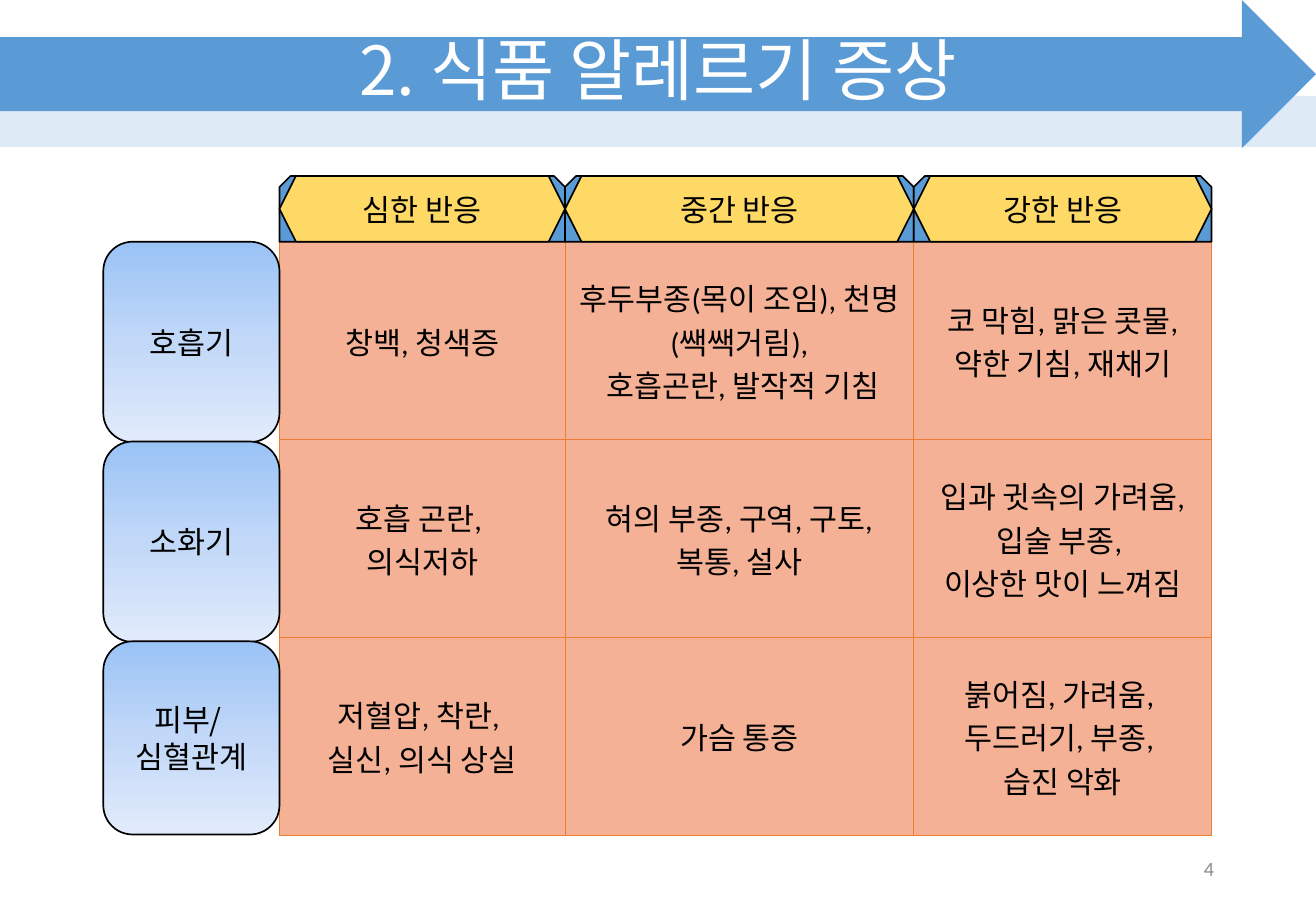
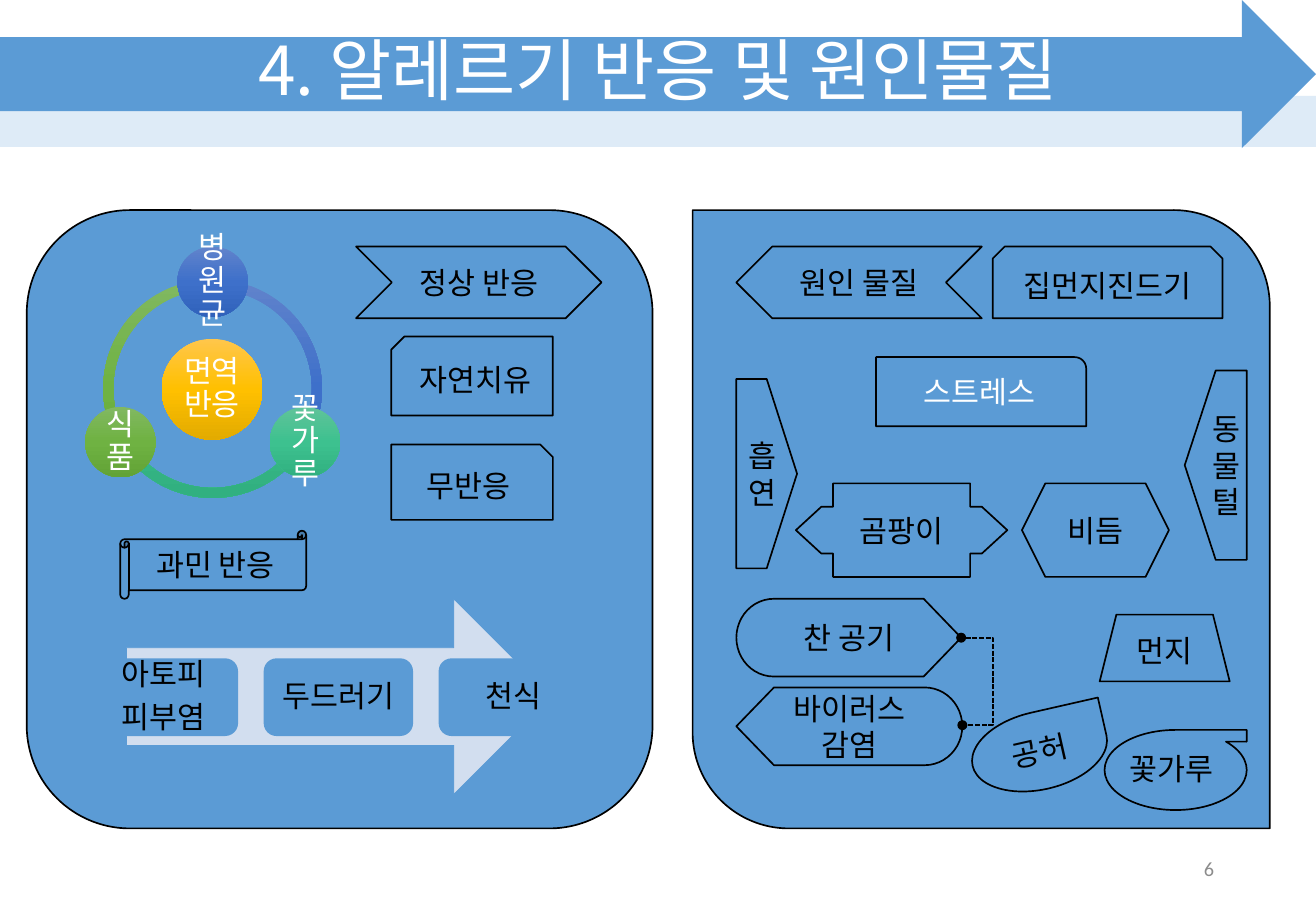
"""Build two slides on food allergy symptoms, reactions and triggers."""
from copy import deepcopy
from dataclasses import dataclass

from lxml.etree import SubElement as Sub
from pptx import Presentation
from pptx.dml.color import RGBColor as Rgb
from pptx.enum.dml import MSO_LINE as Dash
from pptx.enum.shapes import MSO_CONNECTOR as Link, MSO_SHAPE as Kind
from pptx.enum.text import MSO_ANCHOR as Anchor, MSO_AUTO_SIZE as Fit, PP_ALIGN as Align
from pptx.oxml.ns import qn
from pptx.util import Inches, Pt


@dataclass(frozen=True)
class Theme:
    wide: float = 10.83
    high: float = 7.5
    blue: str = "5B9BD5"
    pale: str = "DEEBF7"
    arrow: str = "D2DEEF"
    gold: str = "FFD966"
    peach: str = "F5B195"
    edge: str = "ED7D31"
    black: str = "000000"
    white: str = "FFFFFF"
    gray: str = "8C8C8C"
    sky: tuple = ("9AC3F5", "C2D8F8", "E1EBFB")
    green: tuple = ("81B861", "6FB242", "62A336")
    teal: tuple = ("60C39A", "3DC18F", "31B080")
    navy: tuple = ("6183CB", "3E70CA", "3062BB")
    amber: tuple = ("FFC64B", "FFC000", "E3AB00")
    hangul: str = "Noto Sans CJK KR"
    latin: str = "Calibri"
    head: float = 40
    body: float = 18
    foot: float = 12
    tight: float = 0.9


T = Theme()


@dataclass(frozen=True)
class Style:
    size: float = T.body
    ink: str = T.black
    font: str = T.hangul
    lead: float = 1
    after: float = 0
    align: Align = Align.CENTER
    inset: float | None = None


PLAIN = Style()
LIGHT = Style(ink=T.white)
NODE = Style(ink=T.white, lead=T.tight, after=6.3, inset=0.03)
STEP = Style(lead=T.tight, after=6.3, inset=0.07)
CELL = Style(font=T.latin)
TITLE = Style(size=T.head, ink=T.white, lead=T.tight)
FOOT = Style(size=T.foot, ink=T.gray, font=T.latin, align=Align.RIGHT)


@dataclass(frozen=True)
class Item:
    kind: Kind
    x: float
    y: float
    w: float
    h: float
    text: str = ""
    fill: str | tuple = T.blue
    line: str | None = T.black
    weight: float = 1
    style: Style = PLAIN
    flip: str = ""
    adj: tuple = ()
    turn: float = 0


def write(frame, text: str, style: Style, anchor: Anchor = Anchor.MIDDLE) -> None:
    frame.word_wrap = True
    frame.auto_size = Fit.NONE
    frame.vertical_anchor = anchor
    if style.inset is not None:
        frame.margin_left = frame.margin_right = Inches(style.inset)
        frame.margin_top = frame.margin_bottom = Inches(style.inset)
    for i, line in enumerate(text.split("\n")):
        para = frame.add_paragraph() if i else frame.paragraphs[0]
        para.alignment = style.align
        para.line_spacing = float(style.lead)
        para.space_before, para.space_after = Pt(0), Pt(style.after)
        run = para.add_run()
        run.text = line
        font = run.font
        font.size, font.name = Pt(style.size), style.font
        font.color.rgb = Rgb.from_string(style.ink)
        Sub(font._element, qn("a:ea"), typeface=T.hangul)


def place(x: float, y: float, w: float, h: float) -> tuple:
    return Inches(x), Inches(y), Inches(w), Inches(h)


def blend(shape, tones: tuple) -> None:
    shape.fill.gradient()
    shape.fill.gradient_angle = 270
    stops = next(shape.element.iter(qn("a:gsLst")))
    stops.append(deepcopy(stops[0]))
    for i, stop in enumerate(shape.fill.gradient_stops):
        stop.color.rgb = Rgb.from_string(tones[i])
        stop.position = i / 2


def draw(shapes, item: Item):
    shape = shapes.add_shape(item.kind, *place(item.x, item.y, item.w, item.h))
    shape.shadow.inherit = False
    shape.rotation = item.turn
    for i, val in enumerate(item.adj):
        shape.adjustments[i] = val
    if isinstance(item.fill, tuple):
        blend(shape, item.fill)
    else:
        shape.fill.solid()
        shape.fill.fore_color.rgb = Rgb.from_string(item.fill)
    if item.line:
        shape.line.color.rgb = Rgb.from_string(item.line)
        shape.line.width = Pt(item.weight)
    else:
        shape.line.fill.background()
    if item.flip:
        shape.element.spPr.find(qn("a:xfrm")).set("flip" + item.flip, "1")
    if item.text:
        write(shape.text_frame, item.text, item.style)
    return shape


def label(shapes, spot: tuple, text: str, style: Style, anchor: Anchor = Anchor.MIDDLE) -> None:
    write(shapes.add_textbox(*place(*spot)).text_frame, text, style, anchor)


def band(slide) -> None:
    tree = slide.slide_layout.shapes._spTree
    bars = (Item(Kind.RECTANGLE, 0, 0.79, T.wide, 0.42, fill=T.pale, line=None),
            Item(Kind.RIGHT_ARROW, 0, 0, T.wide, 1.22, line=None))
    for i, bar in enumerate(bars):
        tree.insert(2 + i, draw(slide.shapes, bar).element)


def start(deck, title: str, page: str):
    slide = deck.slides.add_slide(deck.slide_layouts[5])
    head = slide.shapes.title
    head.left, head.top, head.width, head.height = place(0, 0, T.wide, 1.22)
    write(head.text_frame, title, TITLE)
    label(slide.shapes, (7.65, 6.95, 2.44, 0.4), page, FOOT)
    return slide


def border(cell) -> None:
    props = cell._tc.get_or_add_tcPr()
    for i, side in enumerate(("lnL", "lnR", "lnT", "lnB")):
        line = props.makeelement(qn("a:" + side), {"w": str(Pt(0.5))})
        Sub(Sub(line, qn("a:solidFill")), qn("a:srgbClr"), val=T.edge)
        props.insert(i, line)


def grid(shapes, left: float, top: float, cols: tuple, row: float, data: tuple) -> None:
    spot = place(left, top, sum(cols), row * len(data))
    table = shapes.add_table(len(data), len(cols), *spot).table
    table.first_row = table.horz_banding = False
    for i, wide in enumerate(cols):
        table.columns[i].width = Inches(wide)
    for r, texts in enumerate(data):
        table.rows[r].height = Inches(row)
        for c, text in enumerate(texts):
            cell = table.cell(r, c)
            cell.fill.solid()
            cell.fill.fore_color.rgb = Rgb.from_string(T.peach)
            write(cell.text_frame, text, CELL)
            cell.vertical_anchor = Anchor.MIDDLE
            border(cell)


def signs(deck) -> None:
    slide = start(deck, "2. 식품 알레르기 증상", "4")
    band(slide)
    shapes = slide.shapes
    left, top, cols = 2.3, 1.99, (2.35, 2.87, 2.45)
    grid(shapes, left, top, cols, 1.63, (
        ("창백, 청색증",
         "후두부종(목이 조임), 천명(쌕쌕거림),\n 호흡곤란, 발작적 기침",
         "코 막힘, 맑은 콧물, 약한 기침, 재채기"),
        ("호흡 곤란, \n의식저하",
         "혀의 부종, 구역, 구토, 복통, 설사",
         "입과 귓속의 가려움, 입술 부종, \n이상한 맛이 느껴짐"),
        ("저혈압, 착란, \n실신, 의식 상실",
         "가슴 통증",
         "붉어짐, 가려움, \n두드러기, 부종, \n습진 악화"),
    ))
    rows = (("호흡기", 1.65), ("소화기", 1.65), ("피부/ \n심혈관계", 1.59))
    for i, (text, high) in enumerate(rows):
        draw(shapes, Item(Kind.ROUNDED_RECTANGLE, 0.85, top + 1.645 * i, 1.45, high,
                          text, T.sky))
    for i, text in enumerate(("심한 반응", "중간 반응", "강한 반응")):
        spot = (left + sum(cols[:i]), 1.45, cols[i], 0.54)
        draw(shapes, Item(Kind.SNIP_2_SAME_RECTANGLE, *spot))
        draw(shapes, Item(Kind.HEXAGON, *spot, text, T.gold))


def react(shapes) -> None:
    draw(shapes, Item(Kind.ROUNDED_RECTANGLE, 0.22, 1.73, 5.15, 5.09))
    arcs = ((90, 162, T.green), (18, 90, T.teal), (162, 18, T.navy))
    for a, b, tones in arcs:
        draw(shapes, Item(Kind.BLOCK_ARC, 0.85, 2.3, 1.8, 1.8, fill=tones, line=None,
                          adj=(a, b, 0.046)))
    nodes = ((1.33, 2.79, 0.83, "면역반응", T.amber), (1.46, 2.03, 0.58, "병원균", T.navy),
             (2.22, 3.35, 0.58, "꽃가루", T.teal), (0.7, 3.35, 0.58, "식품", T.green))
    for x, y, size, text, tones in nodes:
        draw(shapes, Item(Kind.OVAL, x, y, size, size, text, tones, None, style=NODE))
    for item in (
        Item(Kind.CHEVRON, 2.93, 2.03, 2.02, 0.59, "정상 반응"),
        Item(Kind.SNIP_1_RECTANGLE, 3.22, 3.66, 1.33, 0.62, "무반응"),
        Item(Kind.SNIP_1_RECTANGLE, 3.22, 2.77, 1.33, 0.65, "자연치유", flip="H"),
        Item(Kind.HORIZONTAL_SCROLL, 0.99, 4.37, 1.53, 0.56, "과민 반응"),
        Item(Kind.RIGHT_ARROW, 1.04, 4.93, 3.5, 1.61, fill=T.arrow, line=T.blue, weight=0.5),
    ):
        draw(shapes, item)
    for i, text in enumerate(("아토피\n피부염", "두드러기", "천식")):
        draw(shapes, Item(Kind.ROUNDED_RECTANGLE, 0.73 + 1.44 * i, 5.42, 1.23, 0.64, text,
                          line=None, style=STEP))


def bend(shapes) -> None:
    link = shapes.add_connector(Link.ELBOW, Inches(7.91), Inches(5.25),
                                Inches(7.92), Inches(5.97))
    link.line.color.rgb = Rgb.from_string(T.black)
    link.line.width = Pt(1)
    link.line.dash_style = Dash.SQUARE_DOT
    props = link.element.spPr
    Sub(next(props.iter(qn("a:avLst"))), qn("a:gd"), name="adj1", fmla="val 2639400")
    for end in ("a:headEnd", "a:tailEnd"):
        Sub(props.find(qn("a:ln")), qn(end), type="oval")
    Sub(props, qn("a:effectLst"))


def cause(shapes) -> None:
    for item in (
        Item(Kind.ROUND_2_DIAG_RECTANGLE, 5.7, 1.73, 4.75, 5.09, flip="H"),
        Item(Kind.CHEVRON, 6.06, 2.03, 2.02, 0.59, "원인 물질", flip="H"),
        Item(Kind.SNIP_2_SAME_RECTANGLE, 8.17, 2.03, 1.89, 0.59, "집먼지진드기"),
        Item(Kind.PENTAGON, 6.06, 3.12, 0.5, 1.56, "흡연"),
        Item(Kind.PENTAGON, 9.75, 3.05, 0.51, 1.56, "동물털", flip="H"),
        Item(Kind.ROUND_1_RECTANGLE, 7.21, 2.94, 1.73, 0.57, "스트레스", style=LIGHT),
        Item(Kind.HEXAGON, 8.41, 3.98, 1.21, 0.77, "비듬"),
        Item(Kind.LEFT_RIGHT_ARROW_CALLOUT, 6.55, 3.98, 1.74, 0.77, "곰팡이",
             adj=(0.5, 0.25, 0.272, 0.648)),
        Item(Kind.TRAPEZOID, 9.05, 5.06, 1.07, 0.55, "먼지"),
        Item(Kind.FLOWCHART_DISPLAY, 6.06, 5.66, 1.86, 0.64, "바이러스 감염"),
        Item(Kind.FLOWCHART_DISPLAY, 6.06, 4.93, 1.85, 0.64, "찬 공기", flip="H"),
        Item(Kind.FLOWCHART_SEQUENTIAL_ACCESS_STORAGE, 9.09, 6.01, 1.17, 0.66, flip="V"),
        Item(Kind.TEAR, 7.99, 5.86, 1.13, 0.64, "공허", turn=347.2),
    ):
        draw(shapes, item)
    label(shapes, (9.2, 6.13, 1.01, 0.4), "꽃가루", Style(align=Align.LEFT), Anchor.TOP)
    bend(shapes)


def main() -> None:
    deck = Presentation()
    deck.slide_width, deck.slide_height = Inches(T.wide), Inches(T.high)
    signs(deck)
    slide = start(deck, "4. 알레르기 반응 및 원인물질", "6")
    for fill in (react, cause):
        fill(slide.shapes.add_group_shape().shapes)
    deck.save("out.pptx")


if __name__ == "__main__":
    main()
